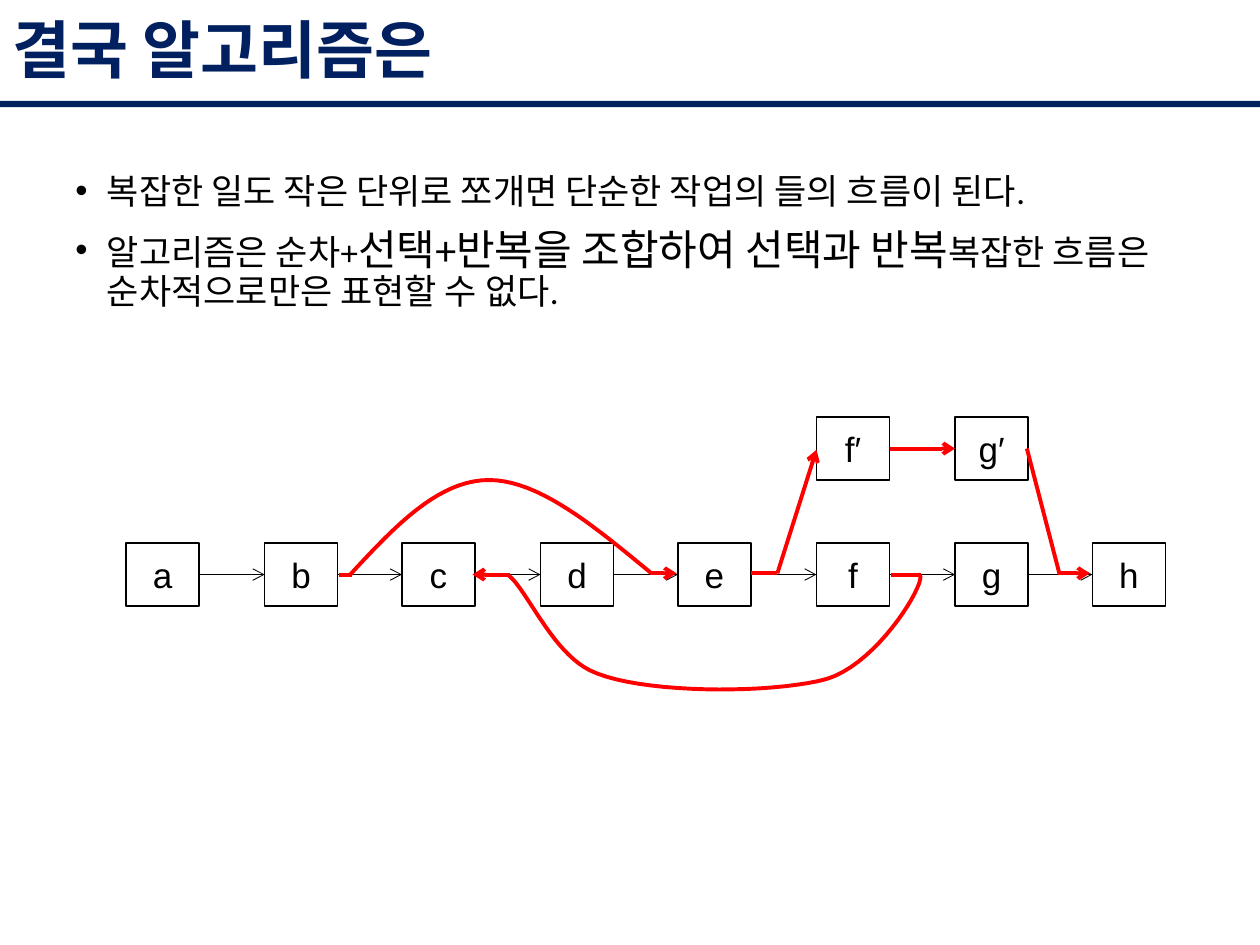
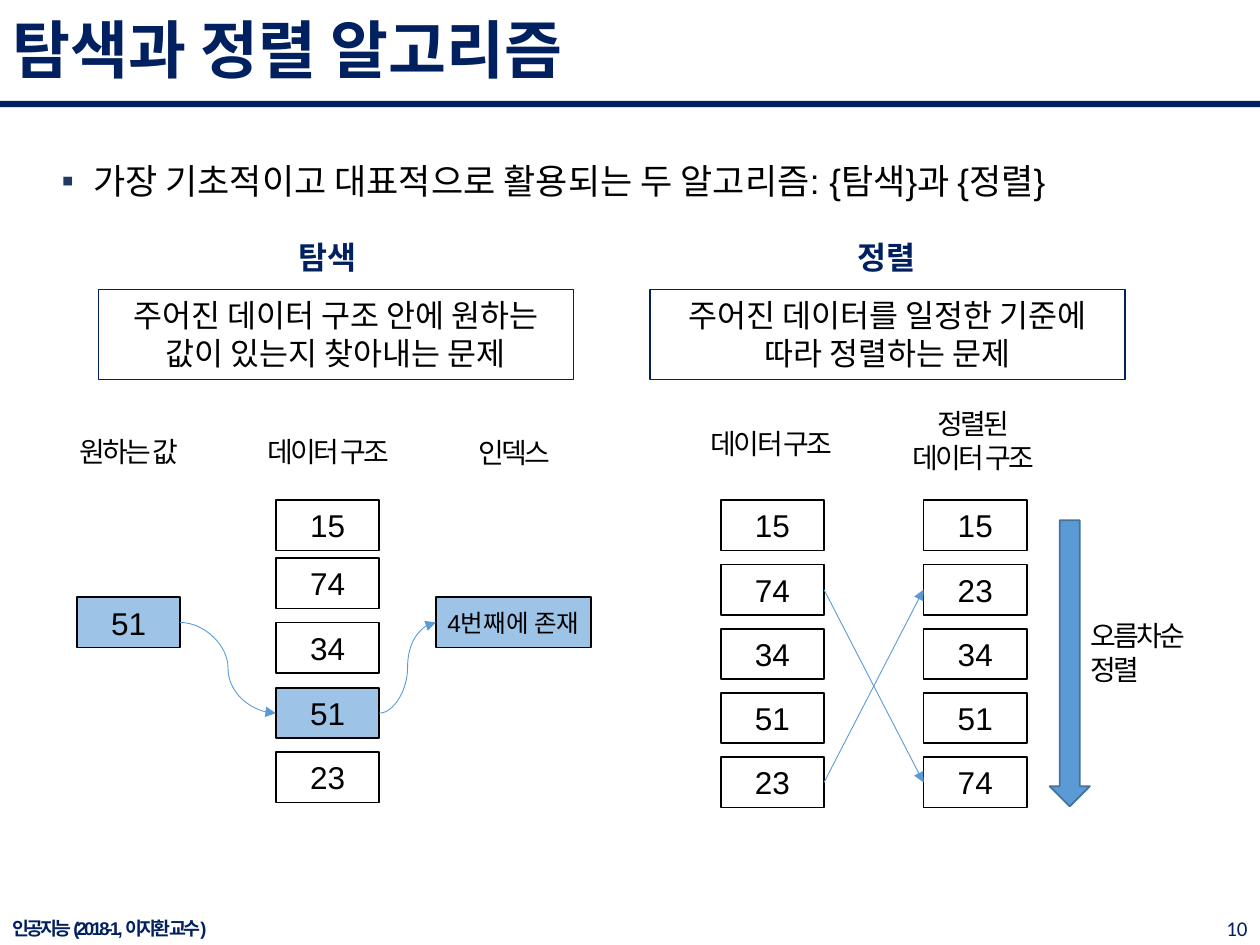
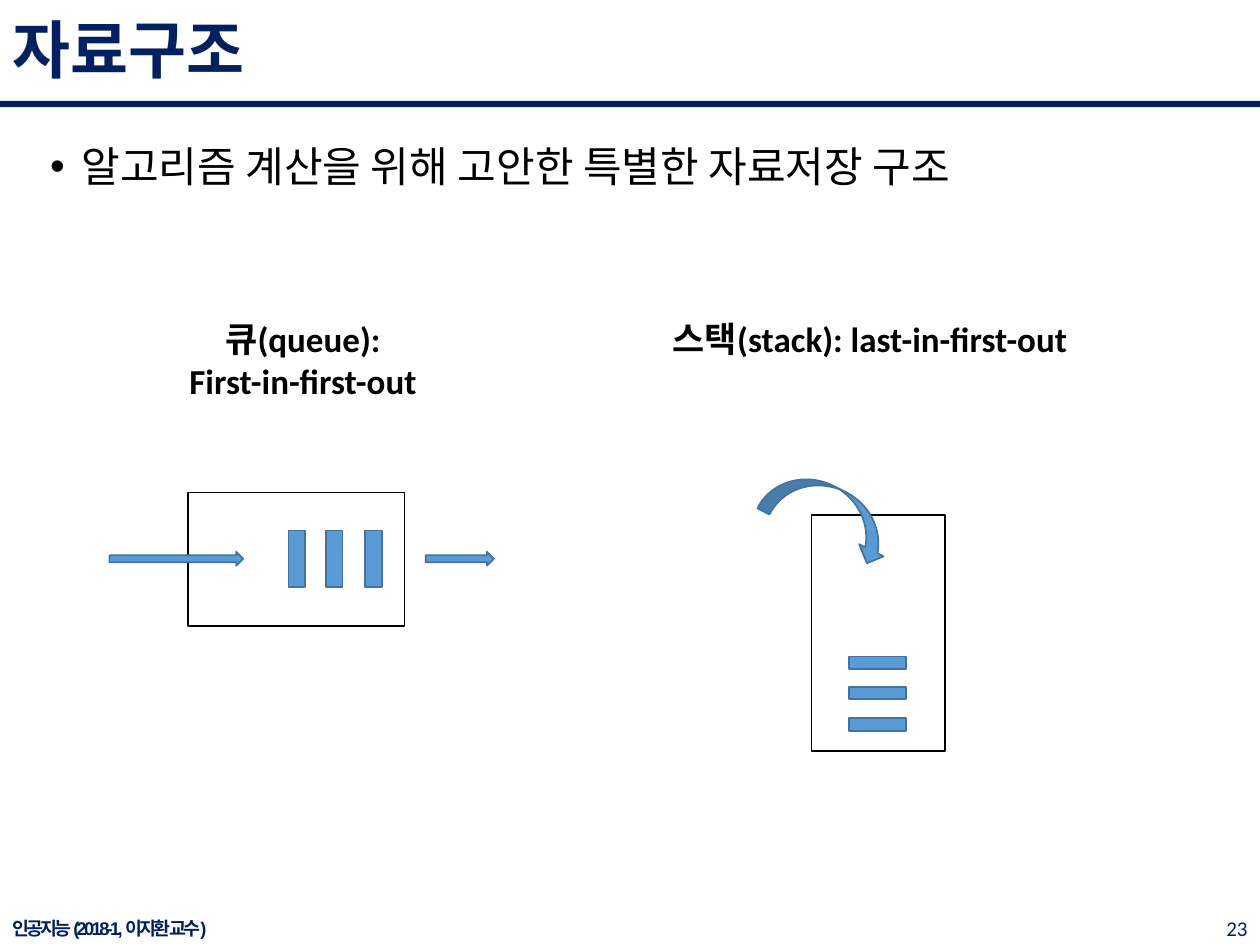
from dataclasses import dataclass

from lxml import etree
from pptx import Presentation
from pptx import util as u
from pptx.dml.color import RGBColor
from pptx.enum import shapes, text
from pptx.oxml import ns

PX = 9144  # one px is a hundredth of an inch
SHAPE, LINE = shapes.MSO_SHAPE, shapes.MSO_CONNECTOR
ALIGN, ANCHOR = text.PP_ALIGN, text.MSO_ANCHOR


@dataclass(frozen=True)
class Theme:
    navy: str = "002060"
    black: str = "000000"
    red: str = "FF0000"
    blue: str = "5B9BD5"
    blue_edge: str = "43739E"
    light_blue: str = "9DC3E6"
    bullet: str = "203864"
    heading_font: str = "Arial"
    body_font: str = "Calibri"
    title: int = 36
    large: int = 24
    body: int = 20
    value: int = 18
    label: int = 16
    note: int = 14
    number: int = 12
    footer: float = 10.5


THEME = Theme()


@dataclass(frozen=True)
class Box:
    x: int
    y: int
    w: int
    h: int

    def inner(self, x, y, w, h):
        return Box(self.x + x, self.y + y, w, h)

    def point(self, x, y):
        return self.x + x, self.y + y

    def emu(self):
        return [px(length) for length in (self.x, self.y, self.w, self.h)]


PAGE = Box(0, 0, 1000, 750)


def px(length):
    return round(length * PX)


def set_all(target, formats):
    for name, value in formats.items():
        setattr(target, name, value)


# Text
def add_bullet(paragraph, character, color):
    properties = paragraph._p.get_or_add_pPr()
    properties.set("marL", str(px(25)))
    properties.set("indent", str(px(-25)))
    if color:
        holder = etree.SubElement(properties, ns.qn("a:buClr"))
        etree.SubElement(holder, ns.qn("a:srgbClr"), val=color)
    etree.SubElement(properties, ns.qn("a:buFont"), typeface="Arial")
    etree.SubElement(properties, ns.qn("a:buChar"), char=character)


def write(shape, paragraphs, size, color=THEME.black, font=THEME.body_font, bold=False,
          align=ALIGN.LEFT, anchor=ANCHOR.TOP, spacing=None, bullet=None,
          bullet_color=None, line_spacing=None, side=10):
    """Fill a shape; a paragraph is a string or a list of (text, size) runs."""
    frame = shape.text_frame
    set_all(frame, {"word_wrap": True, "vertical_anchor": anchor,
                    "margin_left": px(side), "margin_right": px(side)})
    for index, content in enumerate(paragraphs):
        paragraph = frame.add_paragraph() if index else frame.paragraphs[0]
        if bullet:
            add_bullet(paragraph, bullet, bullet_color)
            if index:
                paragraph.space_before = u.Pt(10)
        set_all(paragraph, {"alignment": align, "line_spacing": line_spacing})
        runs = [(content, size)] if isinstance(content, str) else content
        for words, run_size in runs:
            run = paragraph.add_run()
            run.text = words
            set_all(run.font, {"name": font, "size": u.Pt(run_size), "bold": bold})
            run.font.color.rgb = RGBColor.from_string(color)
            if spacing:
                run.font._element.set("spc", str(spacing))


def add_text(slide, box, paragraphs, size, **formats):
    shape = slide.shapes.add_textbox(*box.emu())
    write(shape, paragraphs, size, **formats)


def add_label(slide, box, paragraphs, align=ALIGN.CENTER):
    add_text(slide, box, paragraphs, THEME.label, align=align, spacing=-150)


# Shapes and lines
def style_shape(shape, fill=None, line=THEME.black, width=1):
    shape.shadow.inherit = False
    if fill:
        shape.fill.solid()
        shape.fill.fore_color.rgb = RGBColor.from_string(fill)
    else:
        shape.fill.background()
    if line:
        shape.line.color.rgb = RGBColor.from_string(line)
        shape.line.width = u.Pt(width)
    else:
        shape.line.fill.background()
    return shape


def add_shape(slide, box, kind=SHAPE.RECTANGLE, **formats):
    return style_shape(slide.shapes.add_shape(kind, *box.emu()), **formats)


def add_solid(slide, box, kind=SHAPE.RECTANGLE):
    return add_shape(slide, box, kind, fill=THEME.blue, line=THEME.blue_edge)


def add_value(slide, box, words, size=THEME.value, fill=None, width=1, side=10):
    shape = add_shape(slide, box, fill=fill, width=width)
    write(shape, [words], size, font=THEME.heading_font, align=ALIGN.CENTER,
          anchor=ANCHOR.MIDDLE, side=side)
    return shape


def add_line(slide, start, end, color, width, head=None, kind=LINE.STRAIGHT):
    connector = slide.shapes.add_connector(kind, *map(px, (*start, *end)))
    connector.line.color.rgb = RGBColor.from_string(color)
    connector.line.width = u.Pt(width)
    properties = connector._element.spPr
    if head:
        etree.SubElement(properties.find(ns.qn("a:ln")), ns.qn("a:tailEnd"), type=head)
    etree.SubElement(properties, ns.qn("a:effectLst"))
    return connector


def link(slide, source, target, color, width=0.5, head="triangle", kind=LINE.STRAIGHT):
    """Join the right side of one box to the left side of another."""
    connector = add_line(slide, (0, 0), (1, 1), color, width, head, kind)
    connector.begin_connect(source, 3)
    connector.end_connect(target, 1)


def add_curve(slide, start, segments, steps=20):
    """Draw joined cubic curves, each given as two controls and an end."""
    points = [start]
    for first, second, end in segments:
        corners = (points[-1], first, second, end)
        for step in range(1, steps + 1):
            t = step / steps
            weights = ((1 - t) ** 3, 3 * t * (1 - t) ** 2, 3 * t * t * (1 - t), t ** 3)
            points.append(tuple(sum(weight * corner[axis]
                                    for weight, corner in zip(weights, corners))
                                for axis in (0, 1)))
    path = [(px(x), px(y)) for x, y in points]
    builder = slide.shapes.build_freeform(*path[0], scale=1)
    builder.add_line_segments(path[1:], close=False)
    style_shape(builder.convert_to_shape(), line=THEME.red, width=2.25)


# Shared frame of every slide
def add_page(presentation, title, number=None):
    slide = presentation.slides.add_slide(presentation.slide_layouts[6])
    add_shape(slide, PAGE.inner(0, 80, PAGE.w, 5), fill=THEME.navy, line=None)
    add_text(slide, PAGE.inner(0, 0, PAGE.w, 85), [title], THEME.title, bold=True,
             color=THEME.navy, font=THEME.heading_font, anchor=ANCHOR.MIDDLE,
             line_spacing=0.9)
    if number:
        add_text(slide, PAGE.inner(775, 724, 225, 26), [number], THEME.number,
                 color=THEME.navy, align=ALIGN.RIGHT, anchor=ANCHOR.MIDDLE)
        add_text(slide, PAGE.inner(0, 724, 338, 26), ["인공지능 (2018-1, 이지환 교수)"],
                 THEME.footer, color=THEME.navy, font=THEME.heading_font, bold=True,
                 align=ALIGN.JUSTIFY, anchor=ANCHOR.MIDDLE, spacing=-150)
    return slide


# Slide 1: flow of steps
def draw_flow(slide, box):
    def step(name, column, top):
        return add_value(slide, box.inner(round(column * 109.6), top, 58, 50), name,
                         THEME.body, width=0.75)

    def red_line(start, end, head=None):
        add_line(slide, box.point(*start), box.point(*end), THEME.red, 2.25, head)

    def red_curve(start, *segments):
        add_curve(slide, box.point(*start),
                  [[box.point(*point) for point in segment] for segment in segments])

    # Sequence
    steps = [step(name, column, 100) for column, name in enumerate("abcdefgh")]
    for source, target in zip(steps, steps[1:]):
        link(slide, source, target, THEME.black, head="arrow")

    # Skip from b to e
    red_curve((178, 125), ((213, 87), (248, 50), (288, 50)),
              ((328, 50), (372, 87), (417, 124)))
    red_line((169, 125), (179, 125))
    red_line((416, 124), (437, 124), "arrow")

    # Loop from f back to c
    red_curve((629, 125), ((639, 125), (599, 195), (556, 208)),
              ((512, 220), (406, 220), (368, 201)), ((338, 186), (318, 137), (304, 126)))
    red_line((607, 125), (631, 125))
    red_line((305, 125), (275, 125), "arrow")

    # Branch through f′ and g′
    branch = [step(name, column, 0) for column, name in enumerate(("f′", "g′"), 5)]
    red_line((496, 124), (517, 124))
    red_line((517, 124), (548, 26), "arrow")
    link(slide, *branch, THEME.red, 2.25, "arrow")
    red_line((715, 25), (741, 125))
    red_line((740, 124), (765, 124), "arrow")


def build_flow_slide(presentation):
    slide = add_page(presentation, "결국 알고리즘은")
    add_text(slide, PAGE.inner(50, 133, 900, 142), [
        "복잡한 일도 작은 단위로 쪼개면 단순한 작업의 들의 흐름이 된다.",
        [("알고리즘은 순차+", THEME.body),
         ("선택+반복을 조합하여 선택과 반복", THEME.large),
         ("복잡한 흐름은 순차적으로만은 표현할 수 없다.", THEME.body)],
    ], THEME.body, bullet="•", line_spacing=0.9)
    draw_flow(slide, Box(100, 331, 825, 218))


# Slide 2: search and sort
def draw_definition(slide, box, heading_x, heading, definition):
    add_text(slide, box.inner(heading_x, 0, 246, 40), [heading], THEME.value,
             color=THEME.navy, bold=True, align=ALIGN.CENTER)
    frame = add_shape(slide, box.inner(0, 46, 377, 71), line=THEME.navy, width=0.75)
    write(frame, [definition], THEME.value, align=ALIGN.CENTER)


def draw_column(slide, box, values, tops, marked=None):
    return [add_value(slide, box.inner(0, top, 82, 40), value,
                      fill=THEME.light_blue if value == marked else None)
            for value, top in zip(values, tops)]


def draw_search(slide, box):
    for x, y, width, label in ((0, 22, 157, "원하는 값"), (158, 22, 157, "데이터 구조"),
                               (293, 23, 182, "인덱스")):
        add_label(slide, box.inner(x, y, width, 37), [label])
    cells = draw_column(slide, box.inner(195, 79, 82, 240), ["15", "74", "34", "51", "23"],
                        (0, 46, 97, 149, 200), marked="51")
    wanted = add_value(slide, box.inner(37, 156, 82, 40), "51", fill=THEME.light_blue)
    index = add_value(slide, box.inner(322, 156, 123, 40), "4번째에 존재", THEME.note,
                      fill=THEME.light_blue, side=4)
    for source, target in ((wanted, cells[3]), (cells[3], index)):
        link(slide, source, target, THEME.blue, kind=LINE.CURVE)


def draw_sort(slide, box):
    add_label(slide, box.inner(0, 16, 157, 37), ["데이터 구조"])
    add_label(slide, box.inner(117, 0, 243, 64), ["정렬된", "데이터 구조"])
    values = ["15", "74", "34", "51", "23"]
    tops = range(79, 79 + 51 * len(values), 51)
    before = draw_column(slide, box.inner(38, 0, 82, 323), values, tops)
    after = draw_column(slide, box.inner(199, 0, 82, 323), sorted(values), tops)
    link(slide, before[1], after[4], THEME.blue)
    link(slide, before[4], after[1], THEME.blue)
    add_solid(slide, box.inner(299, 95, 32, 227), SHAPE.DOWN_ARROW)
    add_label(slide, box.inner(322, 168, 113, 64), ["오름차순", "정렬"], ALIGN.LEFT)


def build_search_sort_slide(presentation):
    slide = add_page(presentation, "탐색과 정렬 알고리즘", "10")
    add_text(slide, PAGE.inner(39, 122, 961, 131),
             ["가장 기초적이고 대표적으로 활용되는 두 알고리즘: {탐색}과 {정렬}"],
             THEME.body, font=THEME.heading_font, bullet="▪", bullet_color=THEME.bullet)
    draw_definition(slide, Box(78, 184, 377, 117), 59, "탐색",
                    "주어진 데이터 구조 안에 원하는 값이 있는지 찾아내는 문제")
    draw_definition(slide, Box(516, 184, 377, 117), 65, "정렬",
                    "주어진 데이터를 일정한 기준에 따라 정렬하는 문제")
    draw_search(slide, Box(24, 318, 475, 323))
    draw_sort(slide, Box(534, 318, 435, 323))


# Slide 3: queue and stack
def draw_heading(slide, box, lines):
    add_text(slide, box, lines, THEME.body, bold=True, align=ALIGN.CENTER)


def draw_queue(slide, box):
    draw_heading(slide, box.inner(0, 0, 353, 77), ["큐(queue):", "First-in-first-out"])
    add_shape(slide, box.inner(85, 144, 172, 106))
    for index in range(3):
        add_solid(slide, box.inner(165 + round(30.5 * index), 174, 13, 45))
    for x, width in ((23, 106), (274, 54)):
        add_solid(slide, box.inner(x, 191, width, 11), SHAPE.RIGHT_ARROW)


def draw_stack(slide, box):
    draw_heading(slide, box.inner(0, 0, 353, 44), ["스택(stack): last-in-first-out"])
    add_shape(slide, box.inner(130, 162, 106, 187))
    for index in range(3):
        add_solid(slide, box.inner(160, 274 + round(24.5 * index), 45, 10))
    arrow = add_solid(slide, box.inner(91, 140, 108, 43), SHAPE.CURVED_DOWN_ARROW)
    arrow.rotation = 26.6


def build_structure_slide(presentation):
    slide = add_page(presentation, "자료구조", "23")
    add_text(slide, PAGE.inner(30, 111, 933, 558),
             ["알고리즘 계산을 위해 고안한 특별한 자료저장 구조"],
             THEME.large, bullet="•", line_spacing=0.9)
    draw_queue(slide, Box(64, 247, 353, 250))
    draw_stack(slide, Box(514, 247, 353, 350))


def main():
    presentation = Presentation()
    set_all(presentation, {"slide_width": px(PAGE.w), "slide_height": px(PAGE.h)})
    for build in (build_flow_slide, build_search_sort_slide, build_structure_slide):
        build(presentation)
    presentation.save("out.pptx")


if __name__ == "__main__":
    main()
